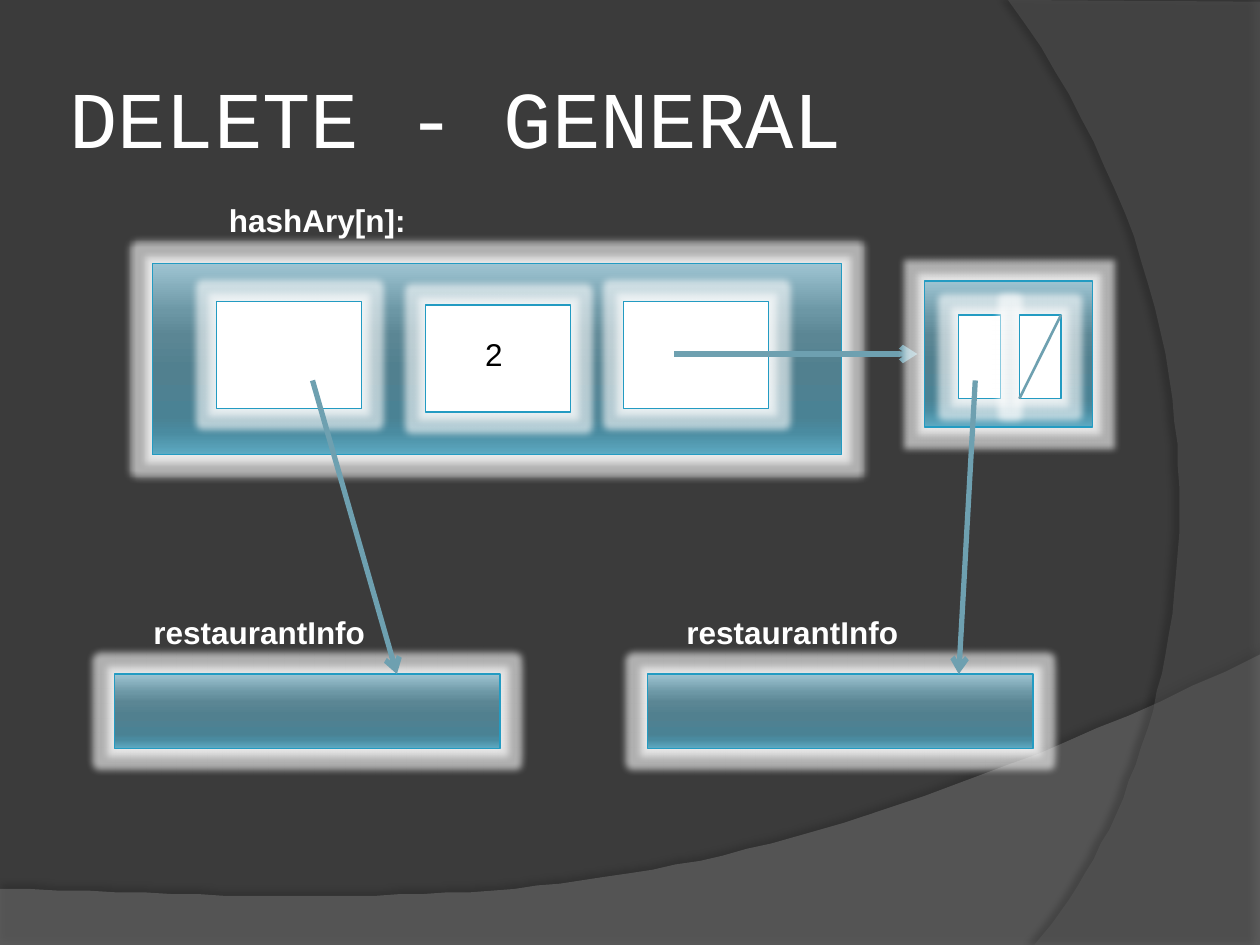
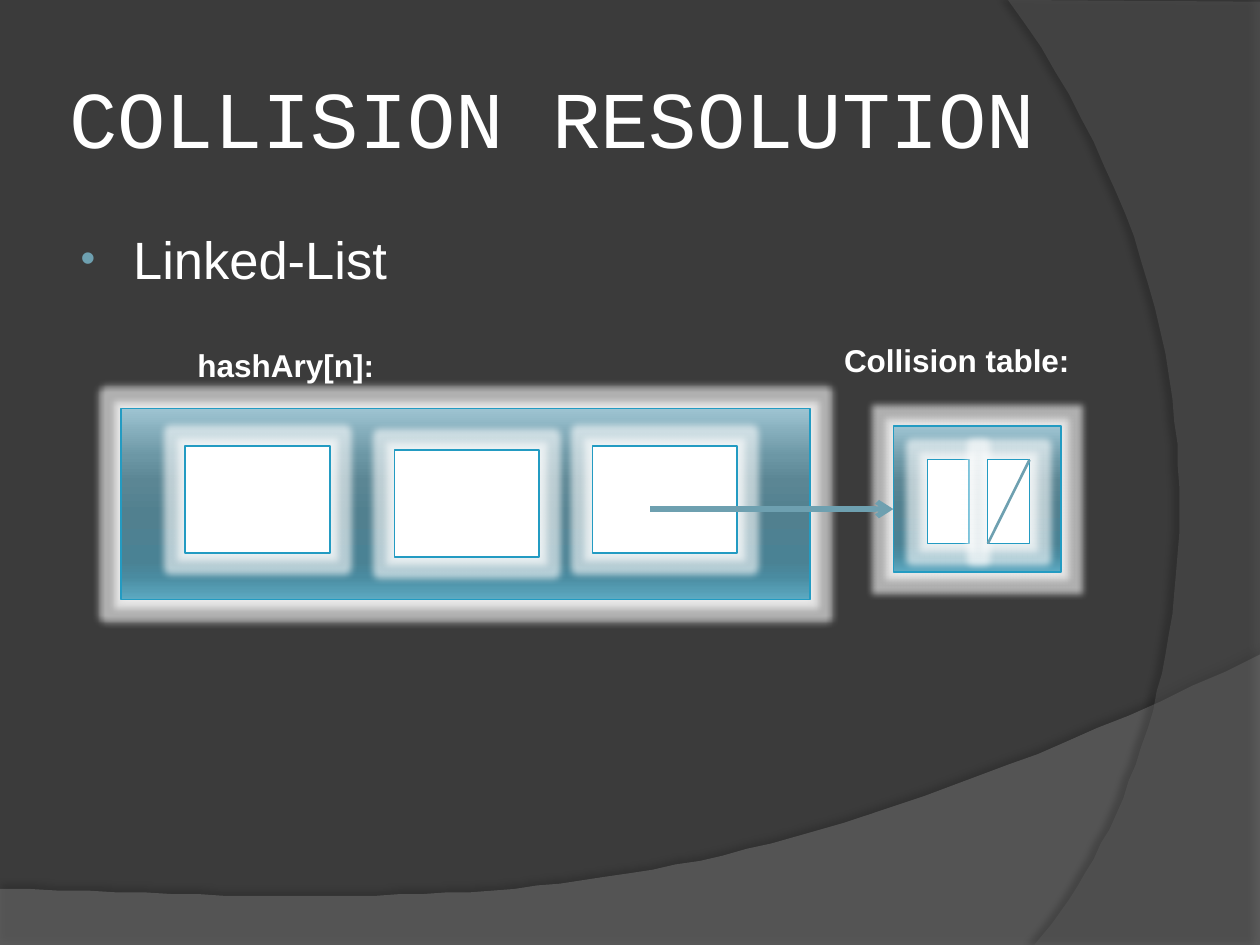
import pptx
import pptx.util
import pptx.dml.color
import pptx.enum.shapes
import pptx.enum.text
import pptx.oxml
import pptx.oxml.ns

Pt = pptx.util.Pt
RGB = pptx.dml.color.RGBColor
ALIGN = pptx.enum.text.PP_ALIGN
ANCHOR = pptx.enum.text.MSO_ANCHOR
RECT = pptx.enum.shapes.MSO_SHAPE.RECTANGLE
STRAIGHT = pptx.enum.shapes.MSO_CONNECTOR.STRAIGHT
qn = pptx.oxml.ns.qn

DARK = RGB(0x3B, 0x3B, 0x3B)
GREY = RGB(0x7F, 0x7F, 0x7F)
ASH = RGB(0x5E, 0x5E, 0x5E)
WHITE = RGB(0xFF, 0xFF, 0xFF)
BLACK = RGB(0, 0, 0)
EDGE = RGB(0x23, 0x9B, 0xC2)
TEAL = RGB(0x6E, 0xA0, 0xB0)
STOPS = [
    (0, RGB(0x9E, 0xC4, 0xD2)), (25, RGB(0x6C, 0x97, 0xA5)),
    (38, RGB(0x5B, 0x86, 0x94)), (55, RGB(0x51, 0x80, 0x8F)),
    (80, RGB(0x4A, 0x82, 0x94)), (88, RGB(0x4A, 0x8B, 0xA0)),
    (100, RGB(0x5D, 0xAA, 0xC2)),
]
SANS, MONO = "Arial", "Courier New"
WIDE, HIGH = 720, 540

CELLS = [(36.7, 21.6), (156.2, 23.8), (269.3, 21.6)]
SLOTS = [19.4, 54]
SLOT_W, SLOT_H = 23.8, 47.8

SLIDES = [
    ("DELETE - GENERAL", [
        ("array", 87.1, 150.5),
        ("label", "2", 257, 187.9, 50.4, False, BLACK, ALIGN.CENTER),
        ("info", 65.5, 385.2),
        ("info", 370.1, 385.2),
        ("arrow", 178.6, 217.4, 226.8, 385.2),
        ("arrow", 385.2, 202.3, 524.2, 202.3),
        ("node", 528.5, 160.6),
        ("arrow", 557.3, 217.4, 547.9, 385.2),
    ]),
    ("COLLISION RESOLUTION", [
        ("bullet", "Linked-List"),
        ("array", 69.1, 233.3),
        ("node", 510.5, 243.4),
        ("arrow", 371.5, 290.9, 510.5, 290.9),
        ("label", "Collision table:", 475.2, 191.5, 157.7),
    ]),
]


def parse(xml):
    head, rest = xml.split(">", 1)
    space = ' xmlns:a="http://schemas.openxmlformats.org/drawingml/2006/main"'
    if head.endswith("/"):
        return pptx.oxml.parse_xml(head[:-1] + space + "/>" + rest)
    return pptx.oxml.parse_xml(head + space + ">" + rest)


def tint(color, alpha):
    return f'<a:srgbClr val="{color}"><a:alpha val="{alpha * 1000}"/></a:srgbClr>'


def effect(shape, body):
    props = shape._element.spPr
    for old in props.findall(qn("a:effectLst")):
        props.remove(old)
    props.append(parse(f"<a:effectLst>{body}</a:effectLst>"))


def shadow(color, alpha, blur, dist, angle):
    return (f'<a:outerShdw blurRad="{Pt(blur)}" dist="{Pt(dist)}" '
            f'dir="{angle * 60000}" algn="ctr" rotWithShape="0">'
            f'{tint(color, alpha)}</a:outerShdw>')


def curve(a, b, c, d, count=48):
    points = []
    for step in range(1, count + 1):
        t = step / count
        u = 1 - t
        points.append(tuple(
            u**3 * p + 3 * u * u * t * q + 3 * u * t * t * r + t**3 * s
            for p, q, r, s in zip(a, b, c, d)))
    return points


def band(slide, points, color, alpha, shade):
    maker = slide.shapes.build_freeform(*points[0], scale=Pt(1))
    maker.add_line_segments(points[1:], close=True)
    shape = maker.convert_to_shape()
    shape.fill.solid()
    shape.fill.fore_color.rgb = color
    shape.line.fill.background()
    tone = shape._element.spPr.find(qn("a:solidFill"))[0]
    tone.append(parse(f'<a:alpha val="{alpha * 1000}"/>'))
    effect(shape, shade)


def bands(slide):
    low = [(0, 507.6), (0, HIGH), (WIDE, HIGH), (WIDE, 374.4)]
    low += curve((WIDE, 374.4), (402.5, 524.9), (281.5, 517.7), (0, 507.6))
    band(slide, low, GREY, 45, shadow(BLACK, 35, 4, 3.5, 270))
    side = [(WIDE, 1.4), (WIDE, HIGH), (591.1, HIGH)]
    side += curve((591.1, HIGH), (673.2, 445.7), (733, 216), (576, 0))
    band(slide, side, ASH, 40, shadow(BLACK, 45, 4, 4, 180))


def write(slide, text, x, y, w, h, size, font=SANS, bold=False,
          color=WHITE, align=ALIGN.LEFT):
    box = slide.shapes.add_textbox(Pt(x), Pt(y), Pt(w), Pt(h))
    frame = box.text_frame
    frame.word_wrap = True
    frame.text = text
    para = frame.paragraphs[0]
    para.alignment = align
    face = para.runs[0].font
    face.name, face.size, face.bold = font, Pt(size), bold
    face.color.rgb = color
    return frame


def title(slide, text):
    frame = write(slide, text, 36, 21.6, 588.2, 90, 46, MONO)
    frame.vertical_anchor = ANCHOR.MIDDLE
    frame.margin_left = frame.margin_right = Pt(3.6)


def label(slide, text, x, y, w, bold=True, color=WHITE, align=ALIGN.LEFT):
    write(slide, text, x, y, w, 28.8, 18, SANS, bold, color, align)


def bullet(slide, text):
    para = write(slide, text, 36, 126, 588.2, 356.4, 30).paragraphs[0]
    para.space_before = Pt(6)
    props = para._p.get_or_add_pPr()
    props.set("marL", str(Pt(33)))
    props.set("indent", str(Pt(-30)))
    for xml in (f'<a:buClr><a:srgbClr val="{TEAL}"/></a:buClr>',
                '<a:buSzPct val="80000"/>', '<a:buFont typeface="Arial"/>',
                '<a:buChar char="•"/>'):
        props.append(parse(xml))


def box(slide, x, y, w, h, plain=False):
    shape = slide.shapes.add_shape(RECT, Pt(x), Pt(y), Pt(w), Pt(h))
    shape.line.color.rgb = EDGE
    shape.line.width = Pt(0.75)
    if plain:
        shape.fill.solid()
        shape.fill.fore_color.rgb = WHITE
    else:
        shape.fill.gradient()
        shape.fill.gradient_angle = 270
        stops = shape._element.spPr.find(qn("a:gradFill")).find(qn("a:gsLst"))
        for old in list(stops):
            stops.remove(old)
        for place, color in STOPS:
            stops.append(parse(f'<a:gs pos="{place * 1000}">'
                               f'<a:srgbClr val="{color}"/></a:gs>'))
    effect(shape, f'<a:glow rad="{Pt(8)}">{tint(WHITE, 60)}</a:glow>'
           + shadow(WHITE, 50, 4, 0, 0))


def line(slide, x1, y1, x2, y2, width):
    link = slide.shapes.add_connector(STRAIGHT, Pt(x1), Pt(y1), Pt(x2), Pt(y2))
    link.line.color.rgb = TEAL
    link.line.width = Pt(width)
    effect(link, "")
    return link


def arrow(slide, x1, y1, x2, y2):
    link = line(slide, x1, y1, x2, y2, 3)
    link.line._get_or_add_ln().append(parse('<a:tailEnd type="arrow"/>'))


def array(slide, x, y):
    box(slide, x, y, 393.8, 109.4)
    for dx, dy in CELLS:
        box(slide, x + dx, y + dy, 82.8, 61.2, True)
    label(slide, "hashAry[n]:", x + CELLS[0][0], y - 38.9, 232.6)


def node(slide, x, y):
    box(slide, x, y, 95.8, 83.5)
    top = y + 19.4
    for dx in SLOTS:
        box(slide, x + dx, top, SLOT_W, SLOT_H, True)
    left = x + SLOTS[-1]
    line(slide, left + SLOT_W, top, left, top + SLOT_H, 1.5)


def info(slide, x, y):
    box(slide, x, y, 220.3, 42.5)
    label(slide, "restaurantInfo", x + 15.1, y - 38.2, 139)


DRAW = {"array": array, "node": node, "info": info, "arrow": arrow,
        "label": label, "bullet": bullet}

deck = pptx.Presentation()
deck.slide_width, deck.slide_height = Pt(WIDE), Pt(HIGH)
for name, parts in SLIDES:
    slide = deck.slides.add_slide(deck.slide_layouts[6])
    slide.background.fill.solid()
    slide.background.fill.fore_color.rgb = DARK
    bands(slide)
    title(slide, name)
    for kind, *args in parts:
        DRAW[kind](slide, *args)
deck.save("out.pptx")
